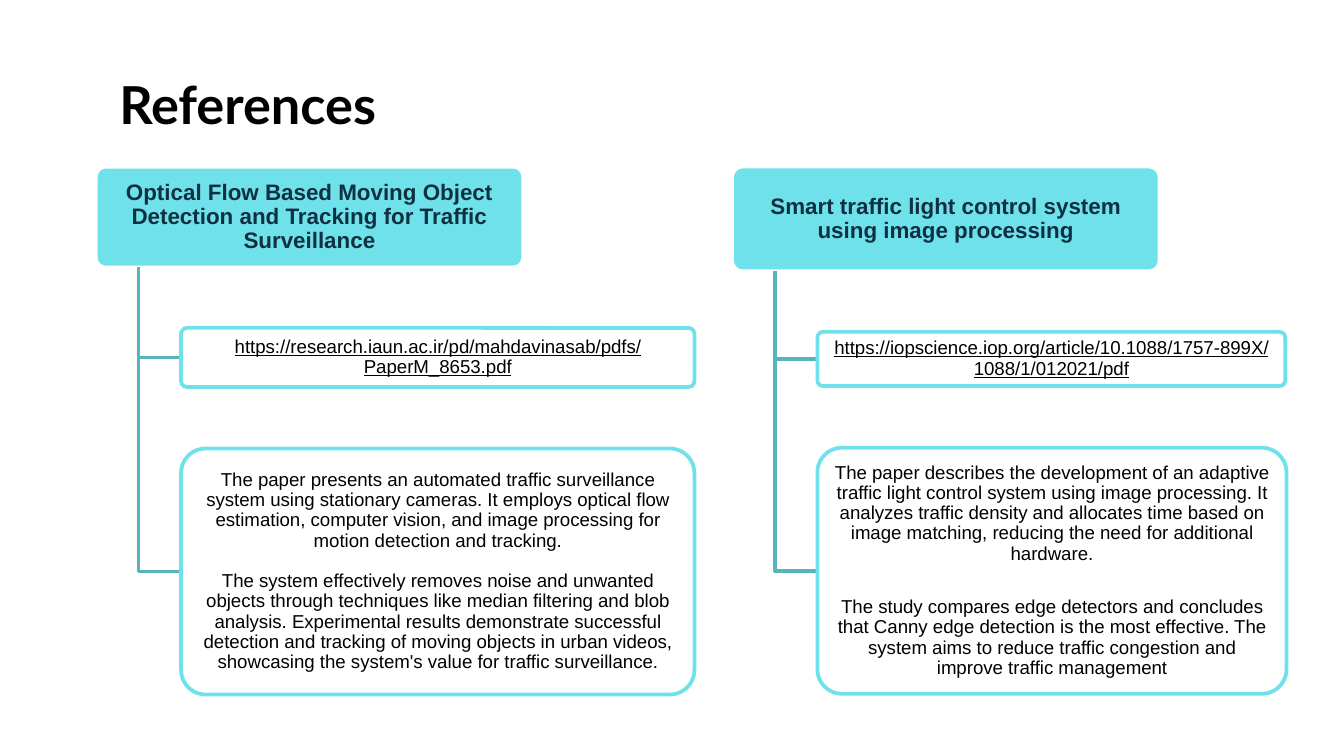
from lxml.etree import SubElement
from pptx import Presentation
from pptx.dml.color import RGBColor
from pptx.enum.shapes import MSO_SHAPE
from pptx.enum.text import MSO_ANCHOR, PP_ALIGN
from pptx.oxml.ns import qn
from pptx.util import Pt

COLORS = {
    "ink": "000000",
    "heading": "0F3040",
    "aqua": "6EE1EB",
    "branch": "58B4BC",
    "white": "FFFFFF",
}
HEADER_TOP, HEADER_WIDTH = 89.3, 229
TRUNK_INDENT, BOX_INDENT = 22.9, 45.7


def rgb(name):
    return RGBColor.from_string(COLORS[name])


def write(frame, paragraphs, size, color="ink", font="Arial", bold=False, underline=False,
          align=PP_ALIGN.CENTER, anchor=MSO_ANCHOR.MIDDLE, inset=(2, 2), spacing=0.9, gap=0):
    """Fill a text frame; inset is (horizontal, vertical), gap separates paragraphs."""
    frame.word_wrap = True
    frame.vertical_anchor = anchor
    frame.margin_left = frame.margin_right = Pt(inset[0])
    frame.margin_top = frame.margin_bottom = Pt(inset[1])
    for index, text in enumerate(paragraphs):
        paragraph = frame.add_paragraph() if index else frame.paragraphs[0]
        paragraph.alignment = align
        paragraph.line_spacing = spacing
        paragraph.space_before = Pt(gap if index else 0)
        run = paragraph.add_run()
        run.text = text
        run.font.name = font
        run.font.size = Pt(size)
        run.font.bold = bold
        run.font.underline = underline
        run.font.color.rgb = rgb(color)


references = [
    {
        "left": 51.3,
        "header_height": 54,
        "title": "Optical Flow Based Moving Object Detection and Tracking for Traffic Surveillance",
        "link": "https://research.iaun.ac.ir/pd/mahdavinasab/pdfs/PaperM_8653.pdf",
        "link_box": (175.7, 275, 31.7),  # top, width, height
        "summary": [
            "The paper presents an automated traffic surveillance system using stationary cameras. "
            "It employs optical flow estimation, computer vision, and image processing for motion "
            "detection and tracking.",
            "The system effectively removes noise and unwanted objects through techniques like "
            "median filtering and blob analysis. Experimental results demonstrate successful "
            "detection and tracking of moving objects in urban videos, showcasing the system's "
            "value for traffic surveillance.",
        ],
        "summary_box": (240.3, 275, 131.8),
        "gap": 10.8,
    },
    {
        "left": 392.2,
        "header_height": 56,
        "title": "Smart traffic light control system using image processing",
        "link": "https://iopscience.iop.org/article/10.1088/1757-899X/1088/1/012021/pdf",
        "link_box": (177.8, 250.6, 29),
        "summary": [
            "The paper describes the development of an adaptive traffic light control system using "
            "image processing. It analyzes traffic density and allocates time based on image "
            "matching, reducing the need for additional hardware.",
            "The study compares edge detectors and concludes that Canny edge detection is the most "
            "effective. The system aims to reduce traffic congestion and improve traffic management",
        ],
        "summary_box": (239.9, 251.3, 131.8),
        "gap": 17.8,
    },
]

prs = Presentation()
prs.slide_width, prs.slide_height = Pt(720), Pt(405)
slide = prs.slides.add_slide(prs.slide_layouts[5])
shapes = slide.shapes

title = shapes.title
title.left, title.top, title.width, title.height = Pt(56.7), Pt(31.7), Pt(606.2), Pt(45.4)
write(title.text_frame, ["References"], 28, font="Lato", bold=True, align=PP_ALIGN.LEFT,
      anchor=MSO_ANCHOR.TOP, inset=(7.2, 7.2), spacing=1)

for reference in references:
    left, header_height = reference["left"], reference["header_height"]
    header = shapes.add_shape(MSO_SHAPE.ROUNDED_RECTANGLE, Pt(left), Pt(HEADER_TOP),
                              Pt(HEADER_WIDTH), Pt(header_height))
    header.adjustments[0] = 0.1
    header.shadow.inherit = False
    header.fill.solid()
    header.fill.fore_color.rgb = rgb("aqua")
    header.line.color.rgb = rgb("white")
    header.line.width = Pt(2)
    write(header.text_frame, [reference["title"]], 12, color="heading", bold=True, inset=(4, 3))

    details = [
        (reference["link_box"], [reference["link"]], {"underline": True}),
        (reference["summary_box"], reference["summary"],
         {"inset": (5.2, 4.5), "gap": reference["gap"]}),
    ]
    for (top, width, height), paragraphs, text_format in details:
        trunk, box_left, middle = left + TRUNK_INDENT, left + BOX_INDENT, top + height / 2
        outline = shapes.build_freeform(Pt(trunk), Pt(HEADER_TOP + header_height))
        outline.add_line_segments([(Pt(trunk), Pt(middle)), (Pt(box_left), Pt(middle))],
                                  close=False)
        branch = outline.convert_to_shape()
        branch.shadow.inherit = False
        branch.fill.background()
        branch.line.color.rgb = rgb("branch")
        branch.line.width = Pt(2)

        detail = shapes.add_shape(MSO_SHAPE.ROUNDED_RECTANGLE, Pt(box_left), Pt(top),
                                  Pt(width), Pt(height))
        detail.adjustments[0] = 0.1
        detail.shadow.inherit = False
        detail.fill.solid()
        detail.fill.fore_color.rgb = rgb("white")
        fill_color = detail.fill._xPr.find(qn("a:solidFill"))[0]
        SubElement(fill_color, qn("a:alpha"), val="90000")
        detail.line.color.rgb = rgb("aqua")
        detail.line.width = Pt(2)
        write(detail.text_frame, paragraphs, 10, **text_format)

prs.save("out.pptx")
